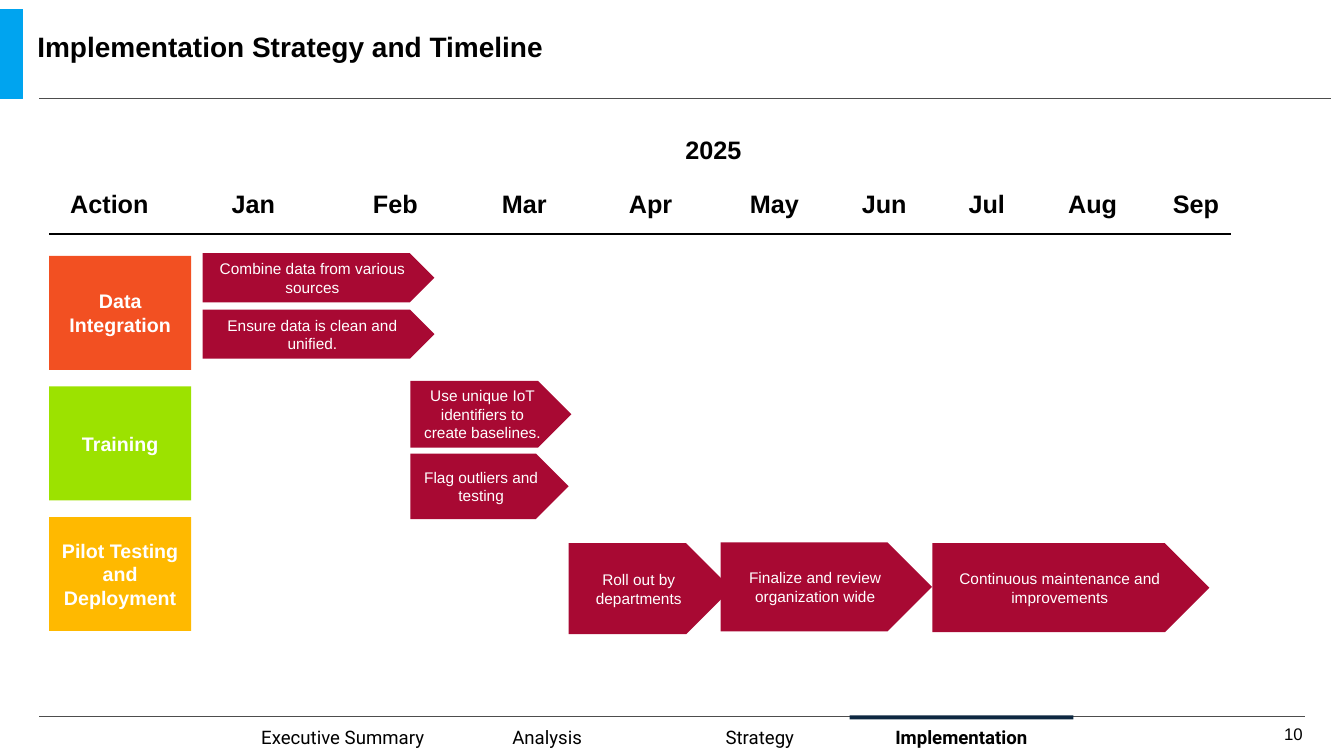
from dataclasses import dataclass

from lxml import etree
from pptx import Presentation
from pptx.dml.color import RGBColor
from pptx.enum.shapes import MSO_CONNECTOR, MSO_SHAPE
from pptx.enum.text import MSO_ANCHOR, PP_ALIGN
from pptx.oxml.ns import qn
from pptx.shapes.autoshape import Shape
from pptx.slide import Slide
from pptx.text.text import _Paragraph
from pptx.util import Cm, Pt

BLACK = RGBColor(0x00, 0x00, 0x00)
WHITE = RGBColor(0xFF, 0xFF, 0xFF)
GREY = RGBColor(0x4D, 0x4D, 0x4D)
BLUE = RGBColor(0x00, 0xA4, 0xEF)
NAVY = RGBColor(0x0E, 0x28, 0x41)
ORANGE = RGBColor(0xF2, 0x50, 0x22)
GREEN = RGBColor(0x9C, 0xE2, 0x00)
YELLOW = RGBColor(0xFF, 0xB9, 0x00)
CRIMSON = RGBColor(0xA8, 0x09, 0x33)

RECTANGLE = MSO_SHAPE.RECTANGLE
PENTAGON = MSO_SHAPE.PENTAGON
STRAIGHT = MSO_CONNECTOR.STRAIGHT
LEFT = PP_ALIGN.LEFT
CENTER = PP_ALIGN.CENTER
TOP = MSO_ANCHOR.TOP
MIDDLE = MSO_ANCHOR.MIDDLE


@dataclass(frozen=True)
class Area:
    left: float
    top: float
    width: float
    height: float

    def lengths(self) -> tuple[Cm, Cm, Cm, Cm]:
        return Cm(self.left), Cm(self.top), Cm(self.width), Cm(self.height)


@dataclass(frozen=True)
class Style:
    size: float
    bold: bool = False
    color: RGBColor = BLACK
    font: str = "Arial"
    align: PP_ALIGN = LEFT
    anchor: MSO_ANCHOR = TOP
    wrap: bool = True
    inset: float | None = None


@dataclass(frozen=True)
class Action:
    text: str
    color: RGBColor


@dataclass(frozen=True)
class Task:
    text: str
    area: Area


@dataclass(frozen=True)
class Section:
    text: str
    left: float
    current: bool = False


@dataclass(frozen=True)
class Rule:
    left: float
    right: float
    top: float
    color: RGBColor
    weight: float


HEADING = Style(18, bold=True, wrap=False)
MONTH_ROW = Style(18, bold=True)
ACTION_STYLE = Style(14, bold=True, color=WHITE, align=CENTER, anchor=MIDDLE)
TASK_STYLE = Style(11, color=WHITE, align=CENTER, anchor=MIDDLE)

MONTHS = ["Jan", "Feb", "Mar", "Apr", "May", "Jun", "Jul", "Aug", "Sep"]
MONTH_STOPS = [3.56, 6.81, 10.01, 13.06, 15.88, 18.57, 21.08, 23.72]

RULES = [
    Rule(0.99, 33.55, 2.49, GREY, 0.75),
    Rule(0.99, 32.89, 18.06, GREY, 0.75),
    Rule(1.24, 31.01, 5.89, BLACK, 1.5),
]

SECTION_WIDTH = 5.64
SECTIONS = [
    Section("Executive Summary", 5.82),
    Section("Analysis", 10.97),
    Section("Strategy", 16.33),
    Section("Implementation", 21.41, current=True),
]

ACTION_TOP = 6.45
ACTION_STEP = 3.29
ACTIONS = [
    Action("Data Integration", ORANGE),
    Action("Training", GREEN),
    Action("Pilot Testing and Deployment", YELLOW),
]

TASKS = [
    Task("Combine data from various sources", Area(5.11, 6.38, 5.84, 1.24)),
    Task("Ensure data is clean and unified.", Area(5.11, 7.8, 5.84, 1.24)),
    Task("Use unique IoT identifiers to create baselines.", Area(10.34, 9.6, 4.06, 1.68)),
    Task("Flag outliers and testing", Area(10.34, 11.43, 3.99, 1.65)),
    Task("Roll out by departments", Area(14.33, 13.69, 4.11, 2.29)),
    Task("Finalize and review organization wide", Area(18.16, 13.67, 5.33, 2.24)),
    Task("Continuous maintenance and improvements", Area(23.5, 13.69, 6.98, 2.24)),
]


def write(box: Shape, text: str, style: Style) -> _Paragraph:
    frame = box.text_frame
    frame.word_wrap = style.wrap
    frame.vertical_anchor = style.anchor
    if style.inset is not None:
        frame.margin_left = frame.margin_right = Cm(style.inset)
        frame.margin_top = frame.margin_bottom = Cm(style.inset)
    para = frame.paragraphs[0]
    para.text = text
    para.alignment = style.align
    para.font.name = style.font
    para.font.size = Pt(style.size)
    para.font.bold = style.bold
    para.font.color.rgb = style.color
    return para


def add_text(page: Slide, area: Area, text: str, style: Style) -> _Paragraph:
    return write(page.shapes.add_textbox(*area.lengths()), text, style)


def add_block(page: Slide, kind: MSO_SHAPE, area: Area, color: RGBColor) -> Shape:
    block = page.shapes.add_shape(kind, *area.lengths())
    block.shadow.inherit = False
    block.fill.solid()
    block.fill.fore_color.rgb = color
    block.line.fill.background()
    return block


def add_rule(page: Slide, rule: Rule) -> None:
    line = page.shapes.add_connector(
        STRAIGHT, Cm(rule.left), Cm(rule.top), Cm(rule.right), Cm(rule.top)
    )
    line.line.color.rgb = rule.color
    line.line.width = Pt(rule.weight)
    etree.SubElement(line._element.spPr, qn("a:effectLst"))


def add_months(page: Slide) -> None:
    para = add_text(page, Area(5.59, 4.62, 25.65, 1.02), "\t".join(MONTHS), MONTH_ROW)
    tabs = etree.Element(qn("a:tabLst"))
    for stop in MONTH_STOPS:
        etree.SubElement(tabs, qn("a:tab"), pos=str(Cm(stop)), algn="l")
    para._p.get_or_add_pPr().insert(0, tabs)


def add_section(page: Slide, section: Section) -> None:
    style = Style(13.3, section.current, font="Roboto", align=CENTER, anchor=MIDDLE, inset=0.33)
    add_text(page, Area(section.left, 18.14, SECTION_WIDTH, 0.86), section.text, style)
    if section.current:
        add_block(page, RECTANGLE, Area(section.left, 18.03, SECTION_WIDTH, 0.1), NAVY)


def main() -> None:
    deck = Presentation()
    deck.slide_width, deck.slide_height = Cm(33.87), Cm(19.05)
    page = deck.slides.add_slide(deck.slide_layouts[6])

    accent = add_block(page, RECTANGLE, Area(0, 0.23, 0.58, 2.26), BLUE)
    accent.line.color.rgb = BLUE
    accent.line.width = Pt(0.75)
    for rule in RULES:
        add_rule(page, rule)
    for section in SECTIONS:
        add_section(page, section)

    title = add_text(
        page,
        Area(0.94, 0.84, 29.49, 0.76),
        "Implementation Strategy and Timeline",
        Style(20, bold=True, inset=0),
    )
    title.line_spacing = 0.9
    add_text(page, Area(32.11, 18.11, 1.07, 0.97), "10", Style(12))

    add_text(page, Area(1.52, 4.62, 2.51, 1.02), "Action", HEADING)
    add_text(page, Area(17.02, 3.25, 1.93, 1.02), "2025", HEADING)
    add_months(page)

    for row, action in enumerate(ACTIONS):
        area = Area(1.24, ACTION_TOP + row * ACTION_STEP, 3.58, 2.87)
        write(add_block(page, RECTANGLE, area, action.color), action.text, ACTION_STYLE)
    for task in TASKS:
        write(add_block(page, PENTAGON, task.area, CRIMSON), task.text, TASK_STYLE)

    deck.save("out.pptx")


if __name__ == "__main__":
    main()
